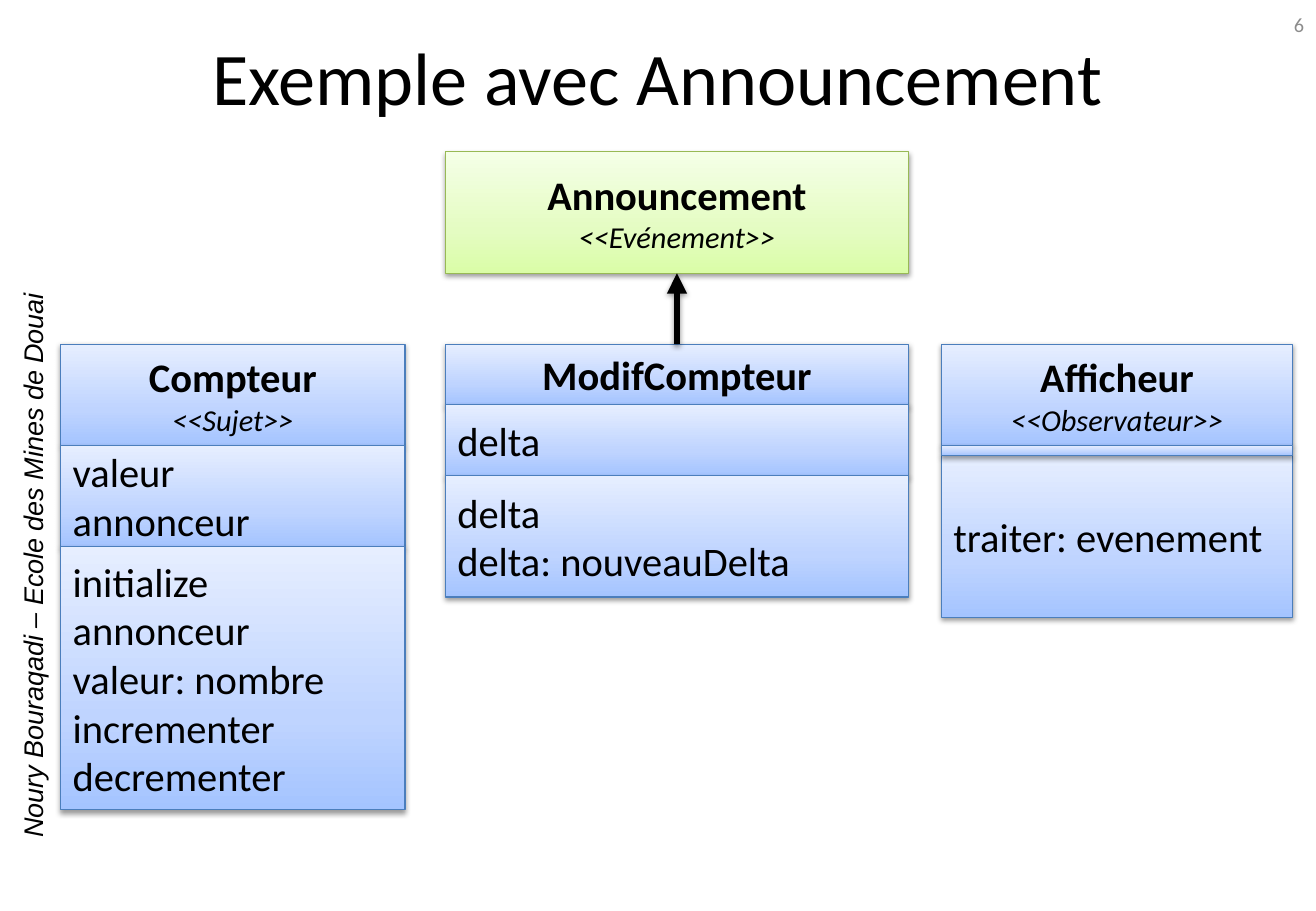
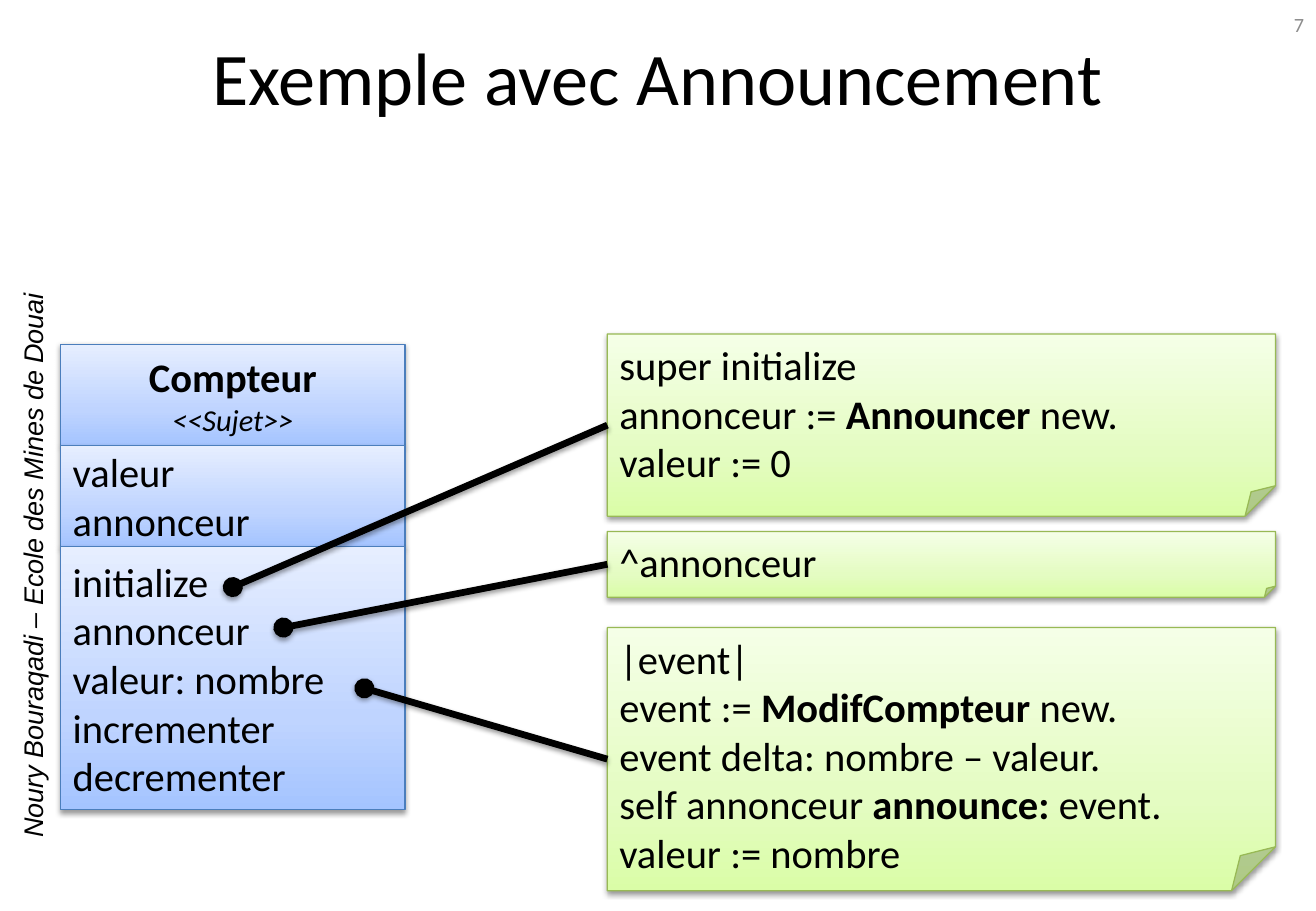
from copy import deepcopy

from pptx import Presentation
from pptx.dml.color import RGBColor
from pptx.enum.shapes import MSO_CONNECTOR as Connector, MSO_SHAPE as Shape
from pptx.enum.text import MSO_ANCHOR as Anchor, PP_ALIGN as Align
from pptx.oxml import parse_xml
from pptx.oxml.ns import nsdecls, qn
from pptx.util import Inches, Pt

# Grid: 12 units to the inch
COLUMNS, ROWS = 130, 90
CLASS_TOP = 34
NOTE_LEFT, NOTE_WIDTH = 60, 66
TOP, LEFT, BOTTOM = 0, 1, 2

BLACK = RGBColor(0x00, 0x00, 0x00)
GREY = RGBColor(0x8C, 0x8C, 0x8C)
# Gradient from bottom to top, then the outline
BLUE = ((RGBColor(0xA4, 0xC4, 0xFF), RGBColor(0xBF, 0xD4, 0xFF),
         RGBColor(0xE6, 0xEE, 0xFF)), RGBColor(0x4B, 0x7E, 0xBC))
GREEN = ((RGBColor(0xDA, 0xFD, 0xA7), RGBColor(0xE4, 0xFC, 0xC2),
          RGBColor(0xF5, 0xFF, 0xE7)), RGBColor(0x98, 0xB9, 0x55))
STOPS = (0, 0.35, 1)


def grid(*units):
    return [Inches(unit / 12) for unit in units]


# Text
def add_para(box, spans, size=24, font="Calibri", color=BLACK,
             bold=False, italic=False, align=Align.LEFT):
    """Spans are one string, or a tuple in which every second one is bold."""
    frame = box.text_frame
    para = frame.paragraphs[0]
    if para.runs:
        para = frame.add_paragraph()
    para.alignment = align
    for index, text in enumerate((spans,) if isinstance(spans, str) else spans):
        span = para.add_run()
        span.text = text
        span.font.size, span.font.name = Pt(size), font
        span.font.color.rgb = color
        span.font.bold = bold or index % 2 == 1
        span.font.italic = italic


def add_label(page, place, text, wrap=True, **style):
    box = page.shapes.add_textbox(*grid(*place))
    box.text_frame.word_wrap = wrap
    box.text_frame.vertical_anchor = Anchor.MIDDLE
    add_para(box, text, **style)
    return box


# Shapes
def add_shadow(properties):
    effects = properties.find(qn("a:effectLst"))
    if effects is None:
        effects = parse_xml(f"<a:effectLst {nsdecls('a')}/>")
        properties.append(effects)
    effects.append(parse_xml(
        f'<a:outerShdw {nsdecls("a")} blurRad="{Pt(3.1)}" dist="{Pt(1.6)}" '
        'dir="5400000" rotWithShape="0"><a:srgbClr val="000000">'
        '<a:alpha val="38000"/></a:srgbClr></a:outerShdw>'))


def add_panel(shapes, place, theme, kind=Shape.RECTANGLE, anchor=Anchor.MIDDLE):
    colors, outline = theme
    panel = shapes.add_shape(kind, *grid(*place))
    properties = panel._element.spPr
    panel.fill.gradient()
    panel.fill.gradient_angle = 90
    stop_list = next(properties.iter(qn("a:gsLst")))
    stop_list.insert(1, deepcopy(stop_list[0]))
    for stop, position, color in zip(panel.fill.gradient_stops, STOPS, colors):
        stop.position, stop.color.rgb = position, color
    panel.line.color.rgb, panel.line.width = outline, Pt(0.75)
    panel.shadow.inherit = False
    add_shadow(properties)
    panel.text_frame.word_wrap = True
    panel.text_frame.vertical_anchor = anchor
    return panel


def add_heading(panel, name, stereotype=None):
    add_para(panel, name, bold=True, align=Align.CENTER)
    if stereotype:
        add_para(panel, f"<<{stereotype}>>", size=18, italic=True,
                 align=Align.CENTER)


def add_class(page, left, width, heights, name, stereotype, attributes, methods):
    """Stack the name, attribute and method cells; return the name cell."""
    shapes = page.shapes.add_group_shape().shapes
    name_height, attribute_height, method_height = heights
    head = add_panel(shapes, (left, CLASS_TOP, width, name_height), BLUE)
    add_heading(head, name, stereotype)
    middle = CLASS_TOP + name_height
    cells = [(middle, attribute_height, attributes),
             (middle + attribute_height, method_height, methods)]
    # An empty cell lies on top
    for top, height, lines in sorted(cells, key=lambda cell: not cell[2]):
        panel = add_panel(shapes, (left, top, width, height), BLUE)
        for line in lines:
            add_para(panel, line)
    return head


def add_note(page, top, height, lines):
    note = add_panel(page.shapes, (NOTE_LEFT, top, NOTE_WIDTH, height), GREEN,
                     kind=Shape.FOLDED_CORNER, anchor=Anchor.TOP)
    for line in lines:
        add_para(note, line)
    return note


def add_link(page, target, side, source=None, start=(0, 0), head=None, tail=None):
    """Draw a line to a side of target, from the top of source or from start."""
    link = page.shapes.add_connector(Connector.STRAIGHT, *grid(*start, *start))
    if source is not None:
        link.begin_connect(source, TOP)
    link.end_connect(target, side)
    link.line.color.rgb, link.line.width = BLACK, Pt(4)
    properties = link._element.spPr
    outline = properties.find(qn("a:ln"))
    for end, shape in (("headEnd", head), ("tailEnd", tail)):
        if shape:
            outline.append(parse_xml(f'<a:{end} {nsdecls("a")} type="{shape}"/>'))
    add_shadow(properties)


# Parts shared by the slides
def add_page(deck, number):
    page = deck.slides.add_slide(deck.slide_layouts[6])
    author = add_label(page, (-25.6, 53.64, 57.6, 4.44),
                       "Noury Bouraqadi – Ecole des Mines de Douai", wrap=False,
                       size=16, font="Arial", italic=True, align=Align.CENTER)
    author.rotation = 270
    add_label(page, (0, 0, COLUMNS, 15), "Exemple avec Announcement",
              size=44, align=Align.CENTER)
    add_label(page, (99.7, 0, 30.3, 4.8), str(number),
              size=12, color=GREY, align=Align.RIGHT)
    return page


def add_counter(page):
    add_class(page, 6, 34, (10, 10, 26), "Compteur", "Sujet",
              ["valeur", "annonceur"],
              ["initialize", "annonceur", "valeur: nombre",
               "incrementer", "decrementer"])


def main():
    deck = Presentation()
    deck.slide_width, deck.slide_height = grid(COLUMNS, ROWS)

    # Class diagram
    page = add_page(deck, 6)
    add_counter(page)
    change = add_class(page, 44, 45.75, (6, 7, 12), "ModifCompteur", None,
                       ["delta"], ["delta", "delta: nouveauDelta"])
    event = add_panel(page.shapes, (44, 15, 45.75, 12), GREEN)
    add_heading(event, "Announcement", "Evénement")
    add_link(page, event, BOTTOM, source=change, tail="triangle")
    add_class(page, 93, 34.7, (10, 1, 16), "Afficheur", "Observateur",
              [], ["traiter: evenement"])

    # Method bodies: start of the link, top and height of the note, lines
    page = add_page(deck, 7)
    add_counter(page)
    notes = [
        ((23, 58), 33, 18,
         ["super initialize",
          ("annonceur := ", "Announcer ", "new."),
          "valeur := 0"]),
        ((28, 62), 52.5, 6.5, ["^annonceur"]),
        ((36, 68), 62, 26,
         ["|event|",
          ("event := ", "ModifCompteur ", "new."),
          "event delta: nombre – valeur.",
          ("self annonceur ", "announce:", " event."),
          "valeur := nombre"]),
    ]
    for start, top, height, lines in notes:
        note = add_note(page, top, height, lines)
        add_link(page, note, LEFT, start=start, head="oval")

    deck.save("out.pptx")


if __name__ == "__main__":
    main()
